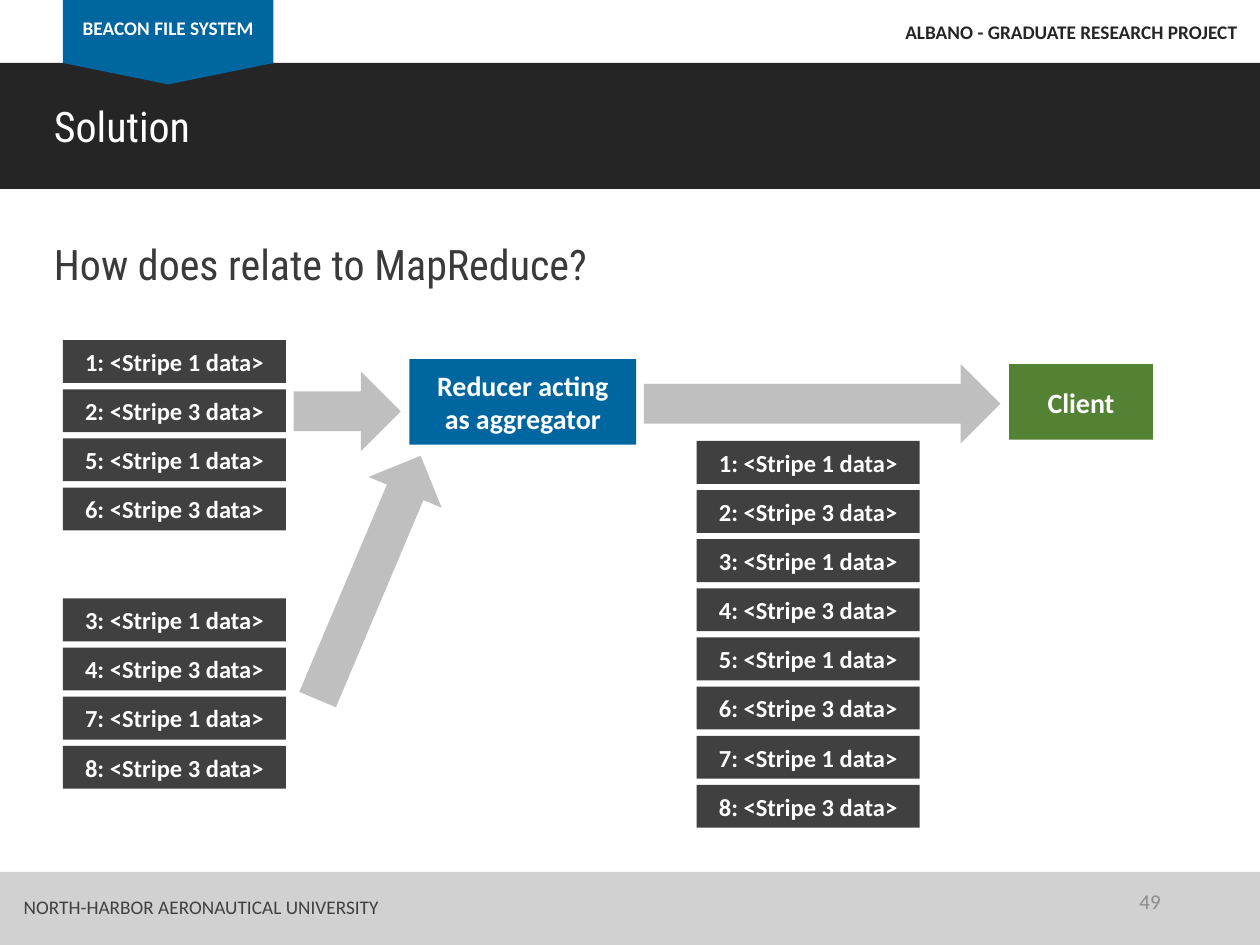
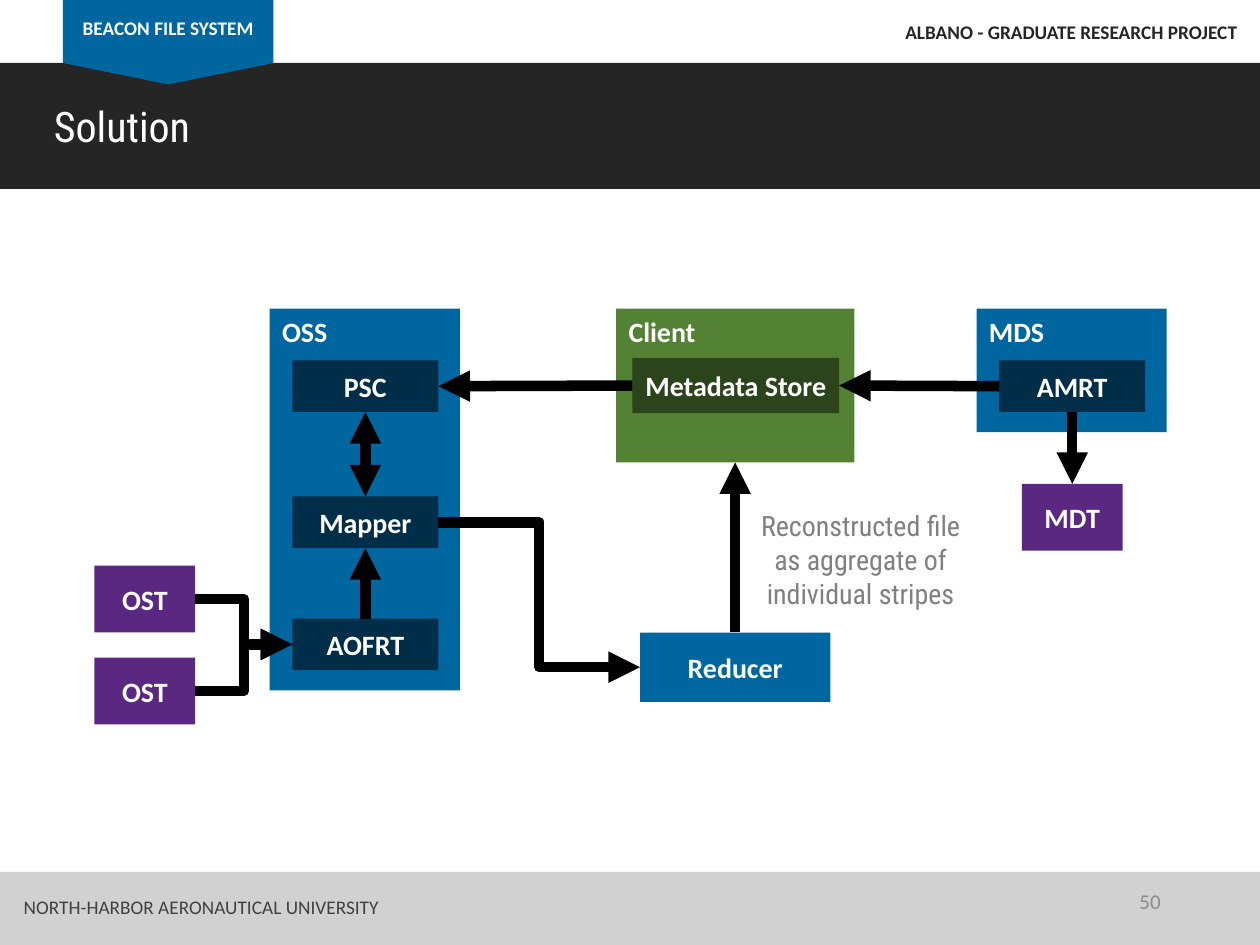
import lxml.etree
import pptx
import pptx.dml.color
import pptx.enum.shapes
import pptx.enum.text
import pptx.oxml.ns
import pptx.util

Inches = pptx.util.Inches
RGBColor = pptx.dml.color.RGBColor
Shape = pptx.enum.shapes.MSO_SHAPE
Connector = pptx.enum.shapes.MSO_CONNECTOR
Align = pptx.enum.text.PP_ALIGN
Anchor = pptx.enum.text.MSO_ANCHOR

BLACK = RGBColor(0x00, 0x00, 0x00)
WHITE = RGBColor(0xFF, 0xFF, 0xFF)
CHARCOAL = RGBColor(0x25, 0x25, 0x25)
HEADING_GRAY = RGBColor(0x3A, 0x3A, 0x3A)
DARK_GRAY = RGBColor(0x40, 0x40, 0x40)
NOTE_GRAY = RGBColor(0x80, 0x80, 0x80)
NUMBER_GRAY = RGBColor(0x8C, 0x8C, 0x8C)
ARROW_GRAY = RGBColor(0xBF, 0xBF, 0xBF)
FOOTER_GRAY = RGBColor(0xD1, 0xD1, 0xD1)
BLUE = RGBColor(0x00, 0x66, 0xA0)
NAVY = RGBColor(0x00, 0x2E, 0x48)
GREEN = RGBColor(0x54, 0x82, 0x35)
DARK_GREEN = RGBColor(0x2C, 0x44, 0x1C)
PURPLE = RGBColor(0x5A, 0x27, 0x81)

BODY_FONT = "Calibri"
TITLE_FONT = "Roboto Condensed"
TOP, LEFT, BOTTOM, RIGHT = range(4)
STRIPE_WIDTH, STRIPE_HEIGHT, STRIPE_STEP = 1.77, 0.34, 0.39


def write_text(frame, text, size=16, font=BODY_FONT, color=WHITE, bold=False,
               align=Align.LEFT, anchor=Anchor.TOP):
    frame.word_wrap = True
    frame.vertical_anchor = anchor
    paragraph = frame.paragraphs[0]
    paragraph.alignment = align
    run = paragraph.add_run()
    run.text = text
    run.font.size = pptx.util.Pt(size)
    run.font.name = font
    run.font.bold = bold
    run.font.color.rgb = color


class Deck:
    """Holds the presentation, its shared style and the current slide."""

    def __init__(self):
        self.presentation = pptx.Presentation()
        self.presentation.slide_width = Inches(10)
        self.presentation.slide_height = Inches(7.5)
        self.slide = None

    def start_slide(self, title, number):
        """Adds a slide with the shared bands, tab, title and footer."""
        blank = self.presentation.slide_layouts[6]
        self.slide = self.presentation.slides.add_slide(blank)
        self.shape(0, 0.5, 10, 1, CHARCOAL)
        self.shape(0.5, 0, 1.67, 0.5, BLUE)
        self.shape(0.5, 0.5, 1.67, 0.17, BLUE,
                   Shape.ISOSCELES_TRIANGLE, rotation=180)
        self.shape(0, 6.92, 10, 0.58, FOOTER_GRAY)
        self.label("BEACON FILE SYSTEM", 0.5, 0.08, 1.67, 0.29,
                   size=11, bold=True, align=Align.CENTER)
        self.label("ALBANO - GRADUATE RESEARCH PROJECT", 6.9, 0.11, 3.02, 0.29,
                   size=11, bold=True, color=CHARCOAL, align=Align.RIGHT)
        self.heading(title, 0.75, WHITE)
        self.label("NORTH-HARBOR AERONAUTICAL UNIVERSITY", 0.09, 7.06, 4, 0.29,
                   size=11, color=DARK_GRAY)
        self.label(str(number), 7.06, 6.95, 2.25, 0.4, size=12,
                   color=NUMBER_GRAY, align=Align.RIGHT, anchor=Anchor.MIDDLE)

    def shape(self, left, top, width, height, fill,
              kind=Shape.RECTANGLE, rotation=0):
        shape = self.slide.shapes.add_shape(
            kind, Inches(left), Inches(top), Inches(width), Inches(height))
        shape.shadow.inherit = False
        shape.fill.solid()
        shape.fill.fore_color.rgb = fill
        shape.line.fill.background()
        shape.rotation = rotation
        return shape

    def label(self, text, left, top, width, height, **text_format):
        box = self.slide.shapes.add_textbox(
            Inches(left), Inches(top), Inches(width), Inches(height))
        write_text(box.text_frame, text, **text_format)

    def heading(self, text, top, color):
        self.label(text, 0.33, top, 6.44, 0.5, size=24, font=TITLE_FONT, color=color)

    def node(self, text, left, top, width, height, fill, size=16):
        node = self.shape(left, top, width, height, fill)
        write_text(node.text_frame, text, size=size, bold=True,
                   align=Align.CENTER, anchor=Anchor.MIDDLE)
        return node

    def container(self, text, left, top, width, height, fill):
        """Draws a box with its name in the top left corner."""
        container = self.shape(left, top, width, height, fill)
        write_text(container.text_frame, text, bold=True)
        return container

    def stripes(self, numbers, left, top):
        """Stacks one box per block; odd blocks lie on stripe 1, even on 3."""
        for row, number in enumerate(numbers):
            stripe = 1 if number % 2 else 3
            self.node(f"{number}: <Stripe {stripe} data>", left,
                      top + row * STRIPE_STEP, STRIPE_WIDTH, STRIPE_HEIGHT,
                      DARK_GRAY, size=14)

    def block_arrow(self, left, top, width, rotation=0):
        self.shape(left, top, width, 0.63, ARROW_GRAY, Shape.RIGHT_ARROW, rotation)

    def link(self, source, source_side, target, target_side,
             kind=Connector.STRAIGHT, both_ways=False):
        """Joins two boxes with an arrow that points at the target."""
        link = self.slide.shapes.add_connector(kind, 0, 0, 0, 0)
        link.begin_connect(source, source_side)
        link.end_connect(target, target_side)
        link.line.color.rgb = BLACK
        link.line.width = pptx.util.Pt(6)
        qn = pptx.oxml.ns.qn
        line = link.line._get_or_add_ln()
        for end in ["a:headEnd", "a:tailEnd"] if both_ways else ["a:tailEnd"]:
            lxml.etree.SubElement(line, qn(end), type="triangle")
        lxml.etree.SubElement(link._element.spPr, qn("a:effectLst"))


def add_mapreduce_slide(deck):
    deck.start_slide("Solution", 49)
    deck.heading("How does relate to MapReduce?", 1.84, HEADING_GRAY)
    deck.node("Reducer acting as aggregator", 3.25, 2.85, 1.8, 0.68, BLUE)
    deck.node("Client", 8.01, 2.89, 1.14, 0.6, GREEN)
    deck.block_arrow(2.33, 2.95, 0.85)
    deck.block_arrow(1.88, 4.27, 2.1, rotation=292.9)
    deck.block_arrow(5.11, 2.89, 2.83)
    deck.stripes([1, 2, 5, 6], 0.5, 2.7)
    deck.stripes([3, 4, 7, 8], 0.5, 4.75)
    deck.stripes(range(1, 9), 5.53, 3.5)


def add_architecture_slide(deck):
    deck.start_slide("Solution", 50)
    deck.container("OSS", 2.14, 2.45, 1.51, 3.03, BLUE)
    client = deck.container("Client", 4.89, 2.45, 1.89, 1.22, GREEN)
    deck.container("MDS", 7.75, 2.45, 1.51, 0.98, BLUE)

    psc, mapper, aofrt = [
        deck.node(name, 2.32, top, 1.16, 0.41, NAVY)
        for name, top in [("PSC", 2.86), ("Mapper", 3.94), ("AOFRT", 4.91)]]
    amrt = deck.node("AMRT", 7.93, 2.86, 1.16, 0.41, NAVY)
    metadata_store = deck.node("Metadata Store", 5.02, 2.84, 1.64, 0.44, DARK_GREEN)
    reducer = deck.node("Reducer", 5.08, 5.02, 1.51, 0.55, BLUE)
    mdt = deck.node("MDT", 8.11, 3.84, 0.8, 0.53, PURPLE)
    for top in (4.49, 5.22):
        ost = deck.node("OST", 0.75, top, 0.8, 0.53, PURPLE)
        deck.link(ost, RIGHT, aofrt, LEFT, Connector.ELBOW)

    deck.link(amrt, BOTTOM, mdt, TOP)
    deck.link(amrt, LEFT, metadata_store, RIGHT)
    deck.link(metadata_store, LEFT, psc, RIGHT)
    deck.link(psc, BOTTOM, mapper, TOP, both_ways=True)
    deck.link(aofrt, TOP, mapper, BOTTOM)
    deck.link(mapper, RIGHT, reducer, LEFT, Connector.ELBOW)
    deck.link(reducer, TOP, client, BOTTOM)
    deck.label("Reconstructed file as aggregate of individual stripes",
               5.92, 3.99, 1.82, 0.91, font=TITLE_FONT, color=NOTE_GRAY,
               align=Align.CENTER)


def main():
    deck = Deck()
    add_mapreduce_slide(deck)
    add_architecture_slide(deck)
    deck.presentation.save("out.pptx")


if __name__ == "__main__":
    main()
